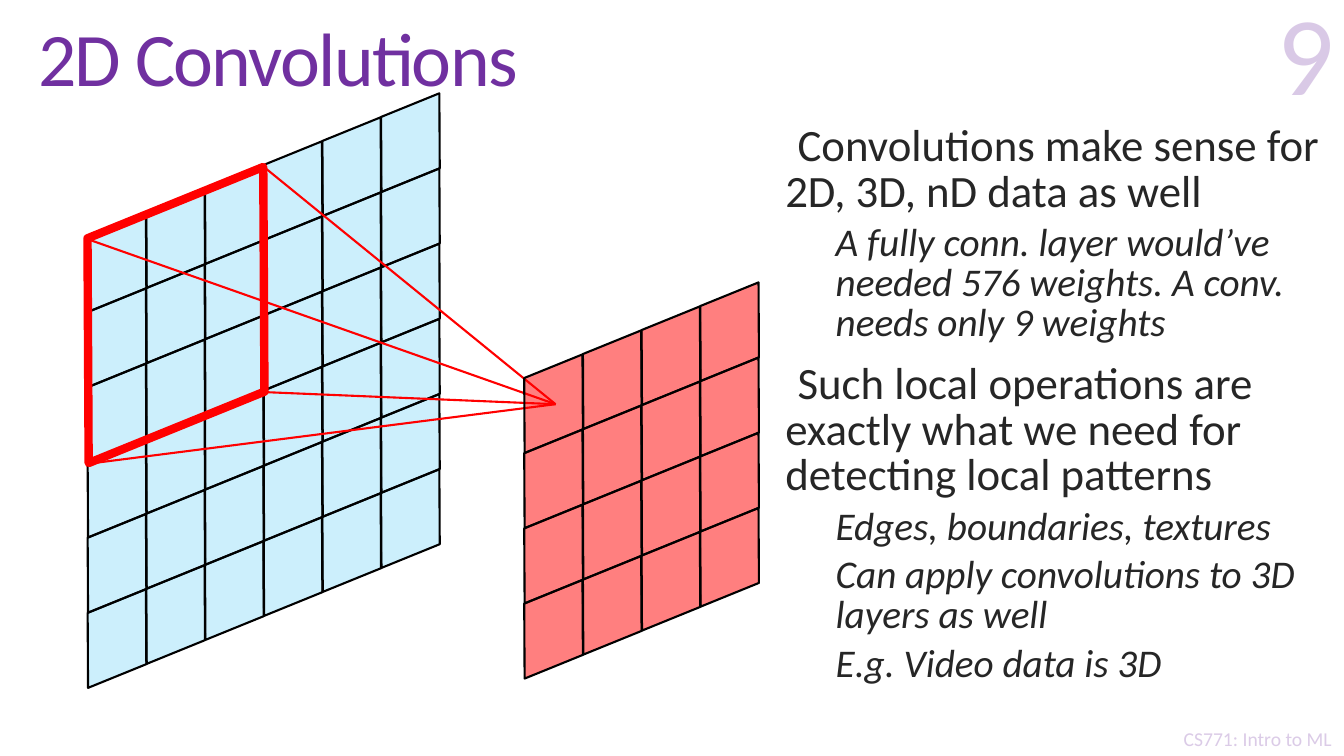
from dataclasses import dataclass

from lxml.etree import SubElement
from pptx import Presentation
from pptx.dml.color import RGBColor as Rgb
from pptx.enum.shapes import MSO_CONNECTOR as Connector, MSO_SHAPE as Preset
from pptx.enum.text import MSO_ANCHOR as Anchor, PP_ALIGN as Align
from pptx.oxml.ns import qn
from pptx.util import Inches, Pt


@dataclass(frozen=True)
class Theme:
    font: str = "Calibri"
    purple: Rgb = Rgb(0x70, 0x30, 0xA0)
    ink: Rgb = Rgb(0x26, 0x26, 0x26)
    black: Rgb = Rgb(0, 0, 0)
    white: Rgb = Rgb(0xFF, 0xFF, 0xFF)
    blue: Rgb = Rgb(0, 0xB0, 0xF0)
    red: Rgb = Rgb(0xFF, 0, 0)
    footer_size: int = 14
    detail_size: int = 28
    point_size: int = 32
    title_size: int = 54
    number_size: int = 80


theme = Theme()
deck = Presentation()
deck.slide_width, deck.slide_height = Inches(13.33), Inches(7.5)
page = deck.slides.add_slide(deck.slide_layouts[6])


def add_text(place, lines, size, color, anchor=Anchor.TOP, align=Align.LEFT):
    """Add a wrapping text box with one paragraph per line; return its paragraphs."""
    box = page.shapes.add_textbox(*map(Inches, place))
    frame = box.text_frame
    frame.text = "\n".join(lines)
    frame.word_wrap = True
    frame.vertical_anchor = anchor
    for para in frame.paragraphs:
        para.alignment = align
        font = para.runs[0].font
        font.name, font.size, font.color.rgb = theme.font, Pt(size), color
    return frame.paragraphs


def add_panel(preset, place, fill=None, opacity=100, line=None, width=1.5, turn=0):
    """Add a preset shape with an optional translucent fill and outline."""
    panel = page.shapes.add_shape(preset, *map(Inches, place))
    panel.shadow.inherit = False
    panel.rotation = turn
    if preset == Preset.PARALLELOGRAM:
        panel.adjustments[0] = 0.4
    if fill is None:
        panel.fill.background()
    else:
        panel.fill.solid()
        panel.fill.fore_color.rgb = fill
        color = panel.fill._xPr.find(qn("a:solidFill"))[0]
        SubElement(color, qn("a:alpha"), val=str(opacity * 1000))
    if line is None:
        panel.line.fill.background()
    else:
        panel.line.color.rgb = line
        panel.line.width = Pt(width)


# Footer under a white veil
add_text((11.52, 7.16, 1.91, 0.34), ["CS771: Intro to ML"],
         theme.footer_size, theme.purple, align=Align.CENTER)
add_panel(Preset.RECTANGLE, (11.64, 5.68, 1.69, 1.82), theme.white, 75)

# Title and page number
title = add_text((0.28, 0.04, 12.69, 1.18), ["2D Convolutions"],
                 theme.title_size, theme.purple, Anchor.MIDDLE)[0]
title.line_spacing = 0.85
title.runs[0]._r.get_or_add_rPr().set("spc", "-120")

number = add_text((10.13, 0.05, 3.2, 1.17), ["9"],
                  theme.number_size, theme.purple, Anchor.BOTTOM, Align.RIGHT)[0]
for color in number._p.findall(".//" + qn("a:srgbClr")):
    SubElement(color, qn("a:alpha"), val="25000")

# Body: (level, text)
body = [
    (0, "Convolutions make sense for 2D, 3D, nD data as well"),
    (1, "A fully conn. layer would’ve needed 576 weights. A conv. needs only 9 weights"),
    (0, "Such local operations are exactly what we need for detecting local patterns"),
    (1, "Edges, boundaries, textures"),
    (1, "Can apply convolutions to 3D layers as well"),
    (1, "E.g. Video data is 3D"),
]
paras = add_text((7.59, 1.19, 5.75, 6.31), [text for level, text in body],
                 theme.point_size, theme.ink)
for para, (level, text) in zip(paras, body):
    para.level = level
    para.line_spacing = 0.85
    para.space_before = Pt(6 if level else 13)
    indent = Inches(0.6 if level else 0.1)
    props = para._p.get_or_add_pPr()
    props.set("marL", str(indent))
    props.set("indent", str(-indent))
    SubElement(props, qn("a:buChar"), char=" ")
    if level:
        para.runs[0].font.size = Pt(theme.detail_size)
        para.runs[0].font.italic = True

# Slanted grids: each column steps right and up, each row steps down
TURN = 157.9
COLUMN_STEP, COLUMN_RISE, ROW_STEP = 2.91 / 5, 1.19 / 5, 3.73 / 5
grids = {
    "input": (0.71, 2.26, 6, theme.blue, 20),
    "output": (5.04, 3.66, 4, theme.red, 50),
}


def add_grid(left, top, count, fill, opacity):
    """Draw a square grid of slanted cells from its top left cell."""
    for column in range(count):
        for row in range(count):
            place = (left + column * COLUMN_STEP,
                     top - column * COLUMN_RISE + row * ROW_STEP, 0.9, 0.69)
            add_panel(Preset.PARALLELOGRAM, place, fill, opacity, theme.black, turn=TURN)


add_grid(*grids["input"])

# Filter window and its rays to the first output cell
add_panel(Preset.PARALLELOGRAM, (0.39, 2.09, 2.71, 2.07),
          line=theme.red, width=6, turn=TURN)
target = (5.51, 4.01)
for corner in [(0.89, 2.38), (2.61, 1.65), (0.88, 4.6), (2.62, 3.89)]:
    ray = page.shapes.add_connector(Connector.STRAIGHT, *map(Inches, corner + target))
    ray.line.color.rgb = theme.red
    ray.line.width = Pt(1.5)
    SubElement(ray._element.spPr, qn("a:effectLst"))

add_grid(*grids["output"])

deck.save("out.pptx")
